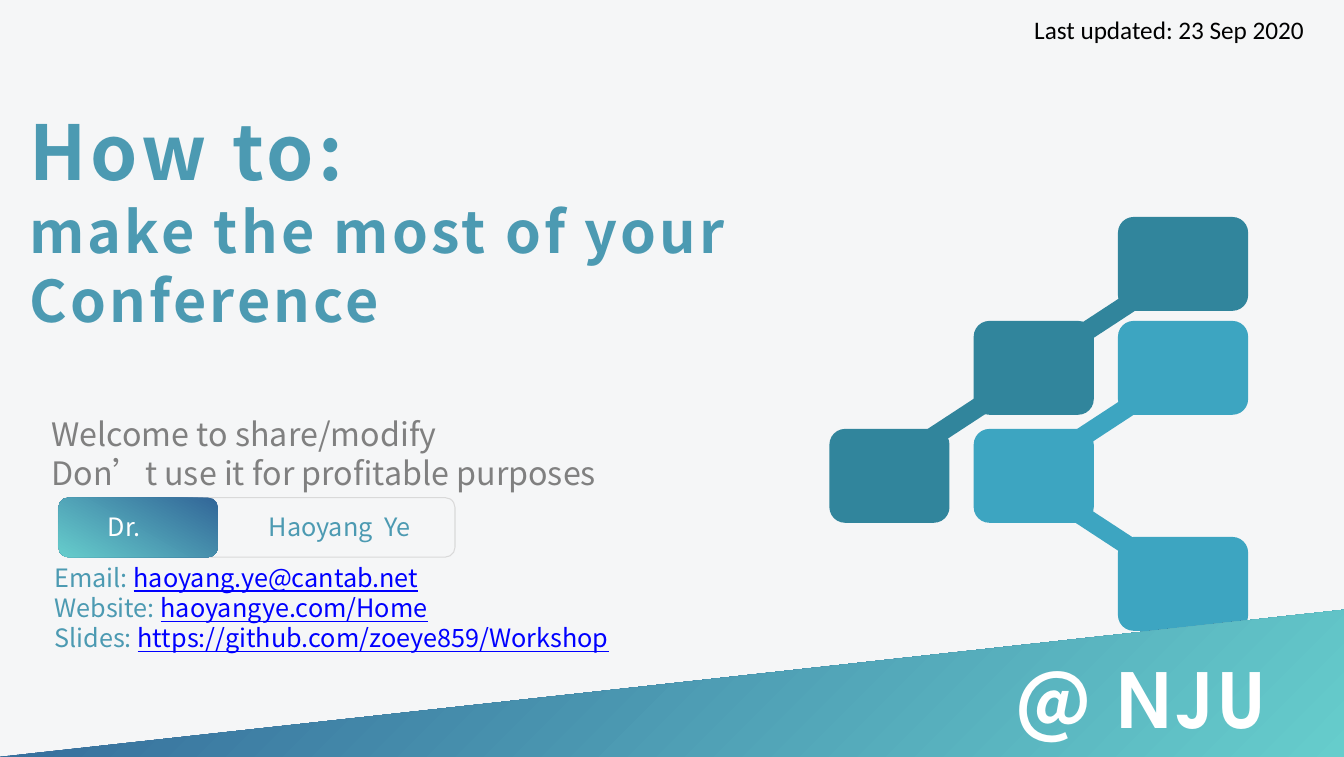
from pptx import Presentation, util as u
from pptx.dml.color import RGBColor
from pptx.enum import shapes, text
from pptx.oxml.ns import qn
from lxml import etree

SANS, GEOMETRIC, PLAIN = "Noto Sans CJK SC", "TeX Gyre Adventor", "Calibri"
BLUE, LINK, WHITE, GREY = "4C9AB2", "0000FF", "FFFFFF", "808080"
GRADIENT = ("326698", "66CDCC")

heading = dict(name=SANS, size=54, color=BLUE, bold=True, spacing=3)
subheading = dict(heading, size=41, spacing=2.3)
venue = dict(heading, color=WHITE)
terms = dict(name=SANS, size=23, color=GREY)
label = dict(name=SANS, size=18, color=BLUE)
link = dict(label, color=LINK, underline=True)
dated = dict(name=PLAIN, size=18, color="000000")

# Each text is a list of paragraphs, each paragraph a list of (words, format)
TITLE = [[("How to:", heading)],
         [("make the most of your Conference", subheading)]]
TERMS = [[("Welcome to share/modify", terms)],
         [("Don’t use it for profitable purposes", terms)]]
CONTACTS = [("Email: ", "haoyang.ye@cantab.net"),
            ("Website: ", "haoyangye.com/Home"),
            ("Slides: ", "https://github.com/zoeye859/Workshop")]
# (left, top, width, height), centred, wrapped, paragraphs
LABELS = [
    ((0.68, 5.02, 1.1, 0.41), True, True, [[("Dr.", dict(label, color=WHITE))]]),
    ((1.78, 5.02, 3.17, 0.41), True, True, [[("Haoyang  Ye", label)]]),
    ((10.01, 6.42, 2.76, 1), False, False,
     [[("@ ", venue), ("NJU", dict(venue, name=GEOMETRIC))]]),
    ((10.2, 0.09, 3.07, 0.39), False, False,
     [[("Last updated: 23 Sep 2020", dated)]]),
    ((0.49, 5.52, 5.73, 1.04), False, True,
     [[(kind, label), (address, link)] for kind, address in CONTACTS]),
]

# Tree of tiles: columns are (left, width), rows are tops
COLUMNS = [(8.22, 1.19), (9.65, 1.19), (11.08, 1.29)]
ROWS = [2.15, 3.18, 4.25, 5.32]
TILE_HEIGHT = 0.93
BRIDGE_SIZE, BRIDGE_TILT = (1.06, 0.19), 33.2
# colour, tiles as (column, row), bridges as (left, top, tilt direction)
BRANCHES = [
    ("3DA5C1", [(1, 2), (2, 1), (2, 3)], [(10.31, 5.09, 1), (10.31, 4.16, -1)]),
    ("31859C", [(0, 2), (1, 1), (2, 0)], [(8.89, 4.12, -1), (10.43, 3.06, -1)]),
]
BADGE = (0.58, 4.93, 3.93, 0.59)
BADGE_TAB_WIDTH = 1.58
BAND = [(13.33, 7.5), (-0.01, 7.5), (13.33, 6.04)]

prs = Presentation()
prs.slide_width, prs.slide_height = u.Inches(13.32), u.Inches(7.5)
slide = prs.slides.add_slide(prs.slide_layouts[0])


def rgb(value):
    return RGBColor.from_string(value)


def inches(values):
    return [u.Inches(v) for v in values]


def fill_gradient(shape, angle):
    shape.fill.gradient()
    shape.fill.gradient_angle = angle
    for stop, color in zip(shape.fill.gradient_stops, GRADIENT):
        stop.color.rgb = rgb(color)


def add_box(kind, box, fill=None, line=None):
    shape = slide.shapes.add_shape(kind, *inches(box))
    shape.shadow.inherit = False
    if fill:
        shape.fill.solid()
        shape.fill.fore_color.rgb = rgb(fill)
    else:
        shape.fill.background()
    if line:
        shape.line.color.rgb = rgb(line)
        shape.line.width = u.Pt(0.75)
    else:
        shape.line.fill.background()
    return shape


def format_run(run, style):
    values = dict(style, size=u.Pt(style["size"]))
    run.font.color.rgb = rgb(values.pop("color"))
    spacing = values.pop("spacing", 0)
    for attribute, value in values.items():
        setattr(run.font, attribute, value)
    properties = run.font._element if hasattr(run.font, "_element") else run._r.get_or_add_rPr()
    if spacing:
        properties.set("spc", str(round(spacing * 100)))
    east_asian = etree.Element(qn("a:ea"), typeface=style["name"])
    properties.find(qn("a:latin")).addnext(east_asian)


def write(shape, paragraphs, centred=False, wrapped=True,
          anchor=text.MSO_ANCHOR.TOP):
    frame = shape.text_frame
    frame_format = dict(word_wrap=wrapped, vertical_anchor=anchor,
                        auto_size=text.MSO_AUTO_SIZE.NONE)
    for side in ("left", "top", "right", "bottom"):
        frame_format["margin_" + side] = u.Inches(0.05)
    for attribute, value in frame_format.items():
        setattr(frame, attribute, value)
    for i, runs in enumerate(paragraphs):
        paragraph = frame.add_paragraph() if i else frame.paragraphs[0]
        paragraph.alignment = text.PP_ALIGN.CENTER if centred else text.PP_ALIGN.LEFT
        paragraph.space_before = u.Pt(0)
        for words, style in runs:
            run = paragraph.add_run()
            run.text = words
            format_run(run, style)


def place(shape, box):
    shape.left, shape.top, shape.width, shape.height = inches(box)


slide.background.fill.solid()
slide.background.fill.fore_color.rgb = rgb("F5F6F7")

for color, tiles, bridges in BRANCHES:
    for column, row in tiles:
        left, width = COLUMNS[column]
        add_box(shapes.MSO_SHAPE.ROUNDED_RECTANGLE,
                (left, ROWS[row], width, TILE_HEIGHT), color)
    for left, top, direction in bridges:
        bridge = add_box(shapes.MSO_SHAPE.RECTANGLE, (left, top, *BRIDGE_SIZE), color)
        bridge.rotation = direction * BRIDGE_TILT

title, terms_of_use = slide.shapes.title, slide.placeholders[1]
place(title, (0.24, 0.99, 8, 2.36))
write(title, TITLE)
place(terms_of_use, (0.46, 4.05, 6.29, 0.88))
write(terms_of_use, TERMS, anchor=text.MSO_ANCHOR.MIDDLE)

add_box(shapes.MSO_SHAPE.ROUNDED_RECTANGLE, BADGE, line="D9D9D9")
badge_tab = add_box(shapes.MSO_SHAPE.ROUNDED_RECTANGLE,
                    (*BADGE[:2], BADGE_TAB_WIDTH, BADGE[3]))
fill_gradient(badge_tab, 240)

corners = [inches(point) for point in BAND]
builder = slide.shapes.build_freeform(*corners[0])
builder.add_line_segments(corners[1:], close=True)
band = builder.convert_to_shape()
band.shadow.inherit = False
band.line.fill.background()
fill_gradient(band, 315)

for box, centred, wrapped, paragraphs in LABELS:
    write(slide.shapes.add_textbox(*inches(box)), paragraphs, centred, wrapped)

prs.save("out.pptx")
